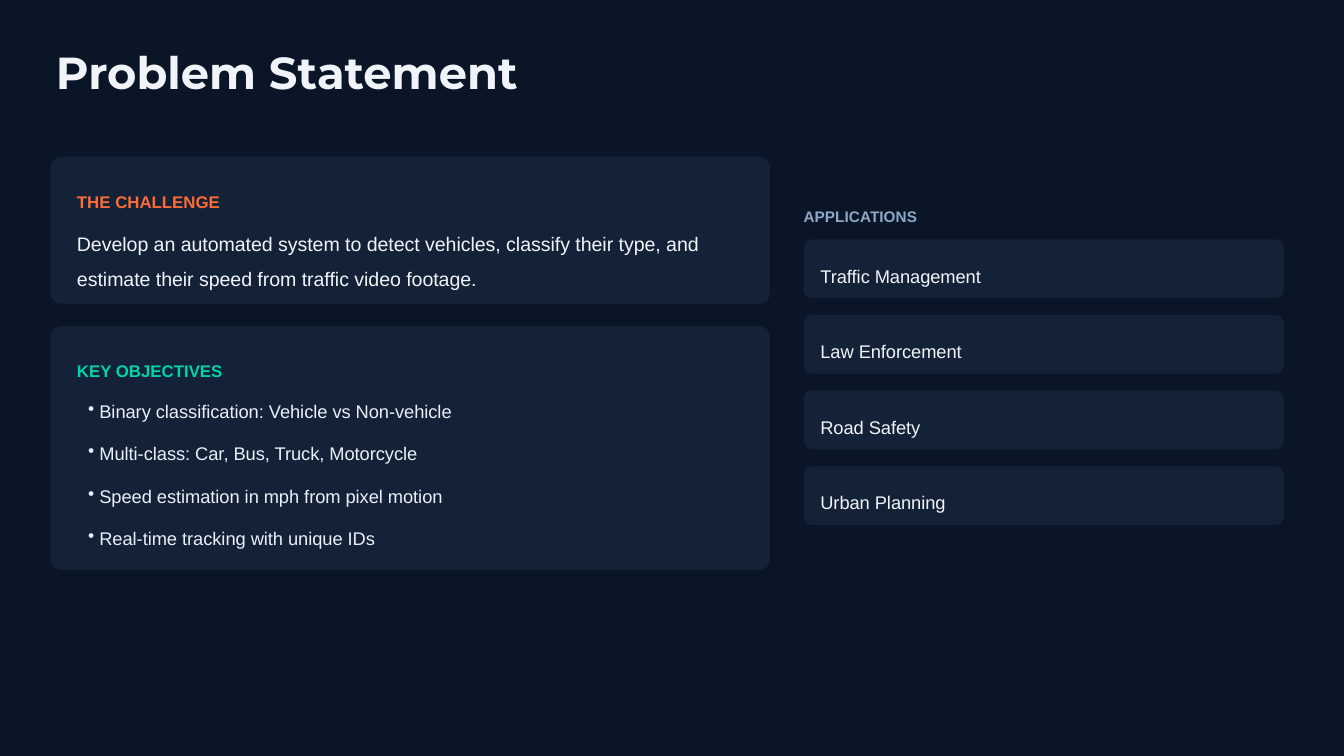
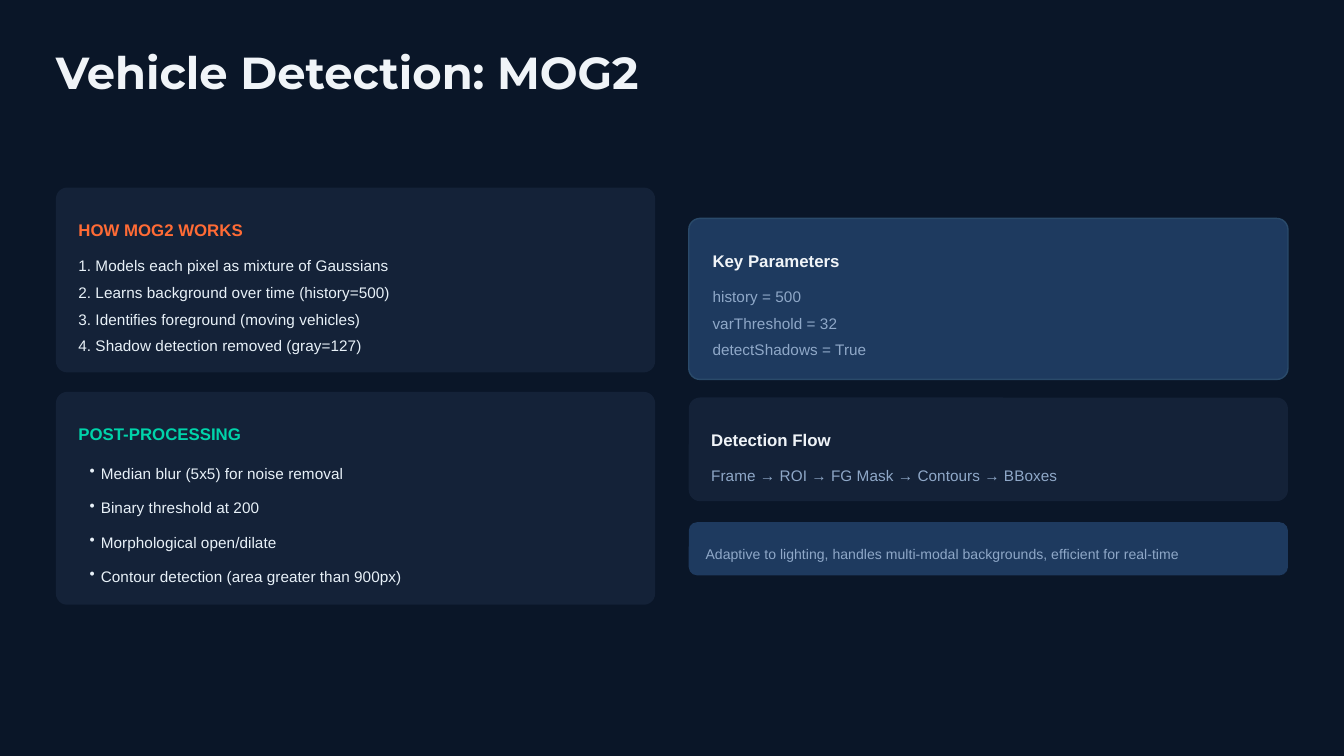
from lxml.etree import SubElement
from pptx import Presentation
from pptx.dml.color import RGBColor
from pptx.enum.shapes import MSO_SHAPE
from pptx.oxml.ns import qn
from pptx.util import Pt

SCALE = 9525
NAVY = RGBColor(0x0A, 0x16, 0x28)
PANEL = RGBColor(0x14, 0x22, 0x38)
BLUE = RGBColor(0x1E, 0x3A, 0x5F)
EDGE = RGBColor(0x2A, 0x4A, 0x6A)
WHITE = RGBColor(0xF0, 0xF4, 0xF8)
PALE = RGBColor(0xE8, 0xF1, 0xF8)
MUTED = RGBColor(0x8F, 0xA8, 0xC8)
ORANGE = RGBColor(0xFF, 0x6B, 0x35)
GREEN = RGBColor(0x00, 0xD4, 0xAA)


def px(*sizes):
    """Turn pixel lengths into EMU."""
    return [size * SCALE for size in sizes]


def style(para, size, color, bold=False, face="Arial", lead=1.4):
    """Set the font and line spacing of a paragraph."""
    font = para.font
    font.size, font.bold, font.name = Pt(size), bold, face
    font.color.rgb = color
    if lead:
        para.line_spacing = lead


def frame(slide, box, inset=0):
    """Add a wrapping text box and return its text frame."""
    text = slide.shapes.add_textbox(*px(*box)).text_frame
    text.word_wrap = True
    text.margin_left = inset * SCALE
    text.margin_top = text.margin_right = text.margin_bottom = 0
    return text


def label(slide, box, words, size, color, **extra):
    """Add one paragraph of text."""
    para = frame(slide, box).paragraphs[0]
    para.text = words
    style(para, size, color, **extra)


def panel(slide, box, fill=PANEL, edge=None, radius=8):
    """Add a rounded panel with a fixed corner radius."""
    shape = slide.shapes.add_shape(MSO_SHAPE.ROUNDED_RECTANGLE, *px(*box))
    shape.adjustments[0] = radius / min(box[2:])
    shape.shadow.inherit = False
    shape.fill.solid()
    shape.fill.fore_color.rgb = fill
    if edge:
        shape.line.color.rgb = edge
        shape.line.width = Pt(0.75)
    else:
        shape.line.fill.background()


def card(slide, box, head, color, pad, width, **extra):
    """Add a panel with a bold heading inside."""
    left, top = box[:2]
    panel(slide, box, **extra)
    label(slide, (left + pad, top + 19 if pad > 17 else top + 17, width, 16),
          head, 9, color, bold=True)


def lines(slide, left, top, width, items, color):
    """Stack single lines of text at an even step."""
    for i, words in enumerate(items):
        label(slide, (left, top + 19 * i, width, 15), words, 8.25, color)


def bullets(slide, box, items, size, gap):
    """Add a bulleted list with a gap between items."""
    text = frame(slide, box, inset=8)
    for i, words in enumerate(items):
        para = text.add_paragraph() if i else text.paragraphs[0]
        para.text = words
        style(para, size, PALE, lead=1.56)
        if i:
            para.space_before = Pt(gap)
        props = para._p.get_or_add_pPr()
        props.set("marL", str(8 * SCALE))
        props.set("indent", str(-8 * SCALE))
        mark = props.find(qn("a:defRPr"))
        tint = SubElement(props, qn("a:buClr"))
        SubElement(tint, qn("a:srgbClr")).set("val", str(PALE))
        sign = SubElement(props, qn("a:buChar"))
        sign.set("char", "•")
        if mark is not None:
            props.append(mark)


def page(deck, title):
    """Add a dark slide with its title."""
    slide = deck.slides.add_slide(deck.slide_layouts[6])
    back = slide.background.fill
    back.solid()
    back.fore_color.rgb = NAVY
    label(slide, (40, 32, 450, 32), title, 24, WHITE,
          bold=True, face="Montserrat", lead=None)
    return slide


def problem(deck):
    """Build the problem statement slide."""
    slide = page(deck, "Problem Statement")
    card(slide, (36, 112, 514, 105), "THE CHALLENGE", ORANGE, 19, 487)
    label(slide, (55, 157, 487, 42),
          "Develop an automated system to detect vehicles, classify their type, "
          "and estimate their speed from traffic video footage.",
          10.5, WHITE, lead=1.5)
    card(slide, (36, 233, 514, 174), "KEY OBJECTIVES", GREEN, 19, 487)
    bullets(slide, (55, 277, 478, 110), [
        "Binary classification: Vehicle vs Non-vehicle",
        "Multi-class: Car, Bus, Truck, Motorcycle",
        "Speed estimation in mph from pixel motion",
        "Real-time tracking with unique IDs",
    ], 9.75, 4.5)
    label(slide, (574, 143, 349, 15), "APPLICATIONS", 8.25, MUTED, bold=True)
    uses = ["Traffic Management", "Law Enforcement", "Road Safety", "Urban Planning"]
    for i, use in enumerate(uses):
        top = 171 + 54 * i
        panel(slide, (574, top, 343, 42), radius=6)
        label(slide, (586, top + 12, 324, 18), use, 9.75, WHITE)


def detect(deck):
    """Build the vehicle detection slide."""
    slide = page(deck, "Vehicle Detection: MOG2")
    card(slide, (40, 134, 428, 132), "HOW MOG2 WORKS", ORANGE, 16, 404)
    lines(slide, 56, 178, 404, [
        "1. Models each pixel as mixture of Gaussians",
        "2. Learns background over time (history=500)",
        "3. Identifies foreground (moving vehicles)",
        "4. Shadow detection removed (gray=127)",
    ], PALE)
    card(slide, (40, 280, 428, 152), "POST-PROCESSING", GREEN, 16, 404)
    bullets(slide, (56, 324, 396, 92), [
        "Median blur (5x5) for noise removal",
        "Binary threshold at 200",
        "Morphological open/dilate",
        "Contour detection (area greater than 900px)",
    ], 8.25, 3)
    card(slide, (492, 156, 428, 115), "Key Parameters", WHITE, 17, 402,
         fill=BLUE, edge=EDGE)
    lines(slide, 509, 200, 402,
          ["history = 500", "varThreshold = 32", "detectShadows = True"], MUTED)
    card(slide, (492, 284, 428, 74), "Detection Flow", WHITE, 16, 404)
    lines(slide, 508, 328, 404,
          ["Frame → ROI → FG Mask → Contours → BBoxes"], MUTED)
    panel(slide, (492, 373, 428, 38), fill=BLUE, radius=6)
    label(slide, (504, 385, 412, 14),
          "Adaptive to lighting, handles multi-modal backgrounds, "
          "efficient for real-time", 7.5, MUTED)


def main():
    """Build and save the deck."""
    deck = Presentation()
    deck.slide_width, deck.slide_height = px(960, 540)
    problem(deck)
    detect(deck)
    deck.save("out.pptx")


if __name__ == "__main__":
    main()
